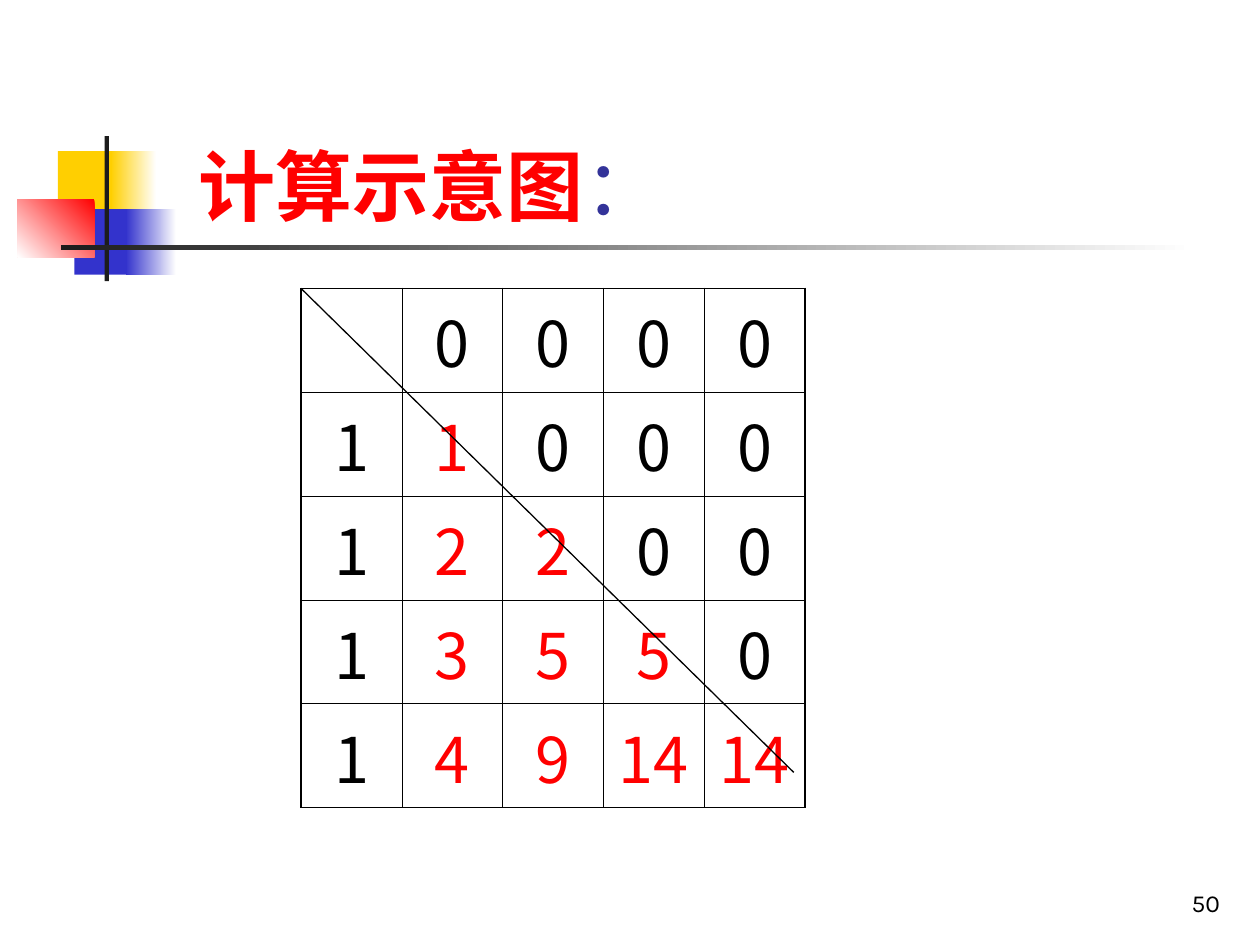
from lxml import etree
from pptx import Presentation
from pptx.dml.color import RGBColor
from pptx.enum.shapes import MSO_CONNECTOR, MSO_SHAPE
from pptx.enum.text import MSO_ANCHOR as Anchor, MSO_AUTO_SIZE as AutoSize, PP_ALIGN as Align
from pptx.oxml.ns import qn
from pptx.util import Pt

BLACK = RGBColor(0x00, 0x00, 0x00)
WHITE = RGBColor(0xFF, 0xFF, 0xFF)
RED = RGBColor(0xFF, 0x00, 0x00)
YELLOW = RGBColor(0xFF, 0xCF, 0x01)
BLUE = RGBColor(0x33, 0x33, 0xCC)
NAVY = RGBColor(0x33, 0x33, 0x99)
CHARCOAL = RGBColor(0x1C, 0x1C, 0x1C)

LATIN_FONT = "Karla"
CJK_FONT = "Noto Sans CJK KR"

COUNTS = [
    ["", "0", "0", "0", "0"],
    ["1", "1", "0", "0", "0"],
    ["1", "2", "2", "0", "0"],
    ["1", "3", "5", "5", "0"],
    ["1", "4", "9", "14", "14"],
]
GRID_LEFT, GRID_TOP = 172.1, 164.9
COLUMN_WIDTH = 57.6
ROW_HEIGHT = 56.4
OUTER_LINE, INNER_LINE = 1.08, 0.45


def add_text(paragraph, text, size, color, font=LATIN_FONT, bold=False, align=Align.LEFT):
    paragraph.alignment = align
    run = paragraph.add_run()
    run.text = text
    run.font.name = font
    run.font.size = Pt(size)
    run.font.bold = bold
    run.font.color.rgb = color
    east_asian = etree.SubElement(run.font._element, qn("a:ea"))
    east_asian.set("typeface", CJK_FONT)


def add_block(slide, left, top, width, height, color, fade_to=None, angle=180):
    """Add a borderless rectangle, solid or fading between two colours."""
    block = slide.shapes.add_shape(
        MSO_SHAPE.RECTANGLE, Pt(left), Pt(top), Pt(width), Pt(height))
    block.shadow.inherit = False
    block.line.fill.background()
    if fade_to is None:
        block.fill.solid()
        block.fill.fore_color.rgb = color
        return
    block.fill.gradient()
    block.fill.gradient_angle = angle
    for stop, stop_color in zip(block.fill.gradient_stops, (color, fade_to)):
        stop.color.rgb = stop_color


def add_ornament(slide):
    add_block(slide, 33.1, 86.4, 34.6, 37.4, YELLOW)
    add_block(slide, 63.4, 86.4, 25.9, 37.4, WHITE, fade_to=YELLOW)
    add_block(slide, 42.5, 119.5, 33.1, 37.4, BLUE)
    add_block(slide, 72, 119.5, 28.8, 37.4, WHITE, fade_to=BLUE)
    add_block(slide, 10, 113.8, 44, 33.1, RED, fade_to=WHITE, angle=225)
    add_block(slide, 59.8, 77.8, 2.4, 82.8, CHARCOAL)
    add_block(slide, 34.6, 140.2, 648, 2.5, WHITE, fade_to=CHARCOAL)


def add_title(slide):
    title = slide.shapes.title
    title.left, title.top, title.width, title.height = Pt(106.5), Pt(20.2), Pt(344.2), Pt(115.2)
    frame = title.text_frame
    frame.auto_size = AutoSize.NONE
    frame.vertical_anchor = Anchor.BOTTOM
    heading = frame.paragraphs[0]
    add_text(heading, "计算示意图", 44, RED, bold=True)
    add_text(heading, "：", 44, NAVY)


def set_borders(cell, widths):
    """Draw the left, right, top and bottom edges, in that order."""
    properties = cell._tc.get_or_add_tcPr()
    for position, (side, width) in enumerate(zip("LRTB", widths)):
        edge = etree.Element(qn(f"a:ln{side}"), w=str(int(Pt(width))))
        fill = etree.SubElement(edge, qn("a:solidFill"))
        etree.SubElement(fill, qn("a:srgbClr"), val=str(BLACK))
        properties.insert(position, edge)


def add_count_table(slide):
    size = len(COUNTS)
    last = size - 1
    table = slide.shapes.add_table(
        size, size, Pt(GRID_LEFT), Pt(GRID_TOP),
        Pt(size * COLUMN_WIDTH), Pt(size * ROW_HEIGHT)).table
    table.first_row = table.horz_banding = False
    for column in table.columns:
        column.width = Pt(COLUMN_WIDTH)
    for row_index, counts in enumerate(COUNTS):
        for column_index, count in enumerate(counts):
            cell = table.cell(row_index, column_index)
            cell.fill.background()
            outer_edges = (column_index == 0, column_index == last,
                           row_index == 0, row_index == last)
            set_borders(cell, [OUTER_LINE if outer else INNER_LINE for outer in outer_edges])
            # Computed entries lie on and below the diagonal
            computed = 1 <= column_index <= row_index
            if count:
                add_text(cell.text_frame.paragraphs[0], count, 36,
                         RED if computed else BLACK, font=CJK_FONT, align=Align.CENTER)


def add_diagonal(slide):
    diagonal = slide.shapes.add_connector(
        MSO_CONNECTOR.STRAIGHT, Pt(GRID_LEFT), Pt(GRID_TOP), Pt(453.6), Pt(441.4))
    diagonal.line.color.rgb = BLACK
    diagonal.line.width = Pt(0.75)
    etree.SubElement(diagonal._element.spPr, qn("a:effectLst"))


def add_page_number(slide):
    frame = slide.shapes.add_textbox(Pt(554.4), Pt(491.8), Pt(149.8), Pt(36)).text_frame
    frame.word_wrap = True
    frame.vertical_anchor = Anchor.BOTTOM
    add_text(frame.paragraphs[0], "50", 14, BLACK, align=Align.RIGHT)


def main():
    deck = Presentation()
    deck.slide_width, deck.slide_height = Pt(720), Pt(540)
    slide = deck.slides.add_slide(deck.slide_layouts[5])
    add_ornament(slide)
    add_title(slide)
    add_count_table(slide)
    add_diagonal(slide)
    add_page_number(slide)
    deck.save("out.pptx")


if __name__ == "__main__":
    main()
